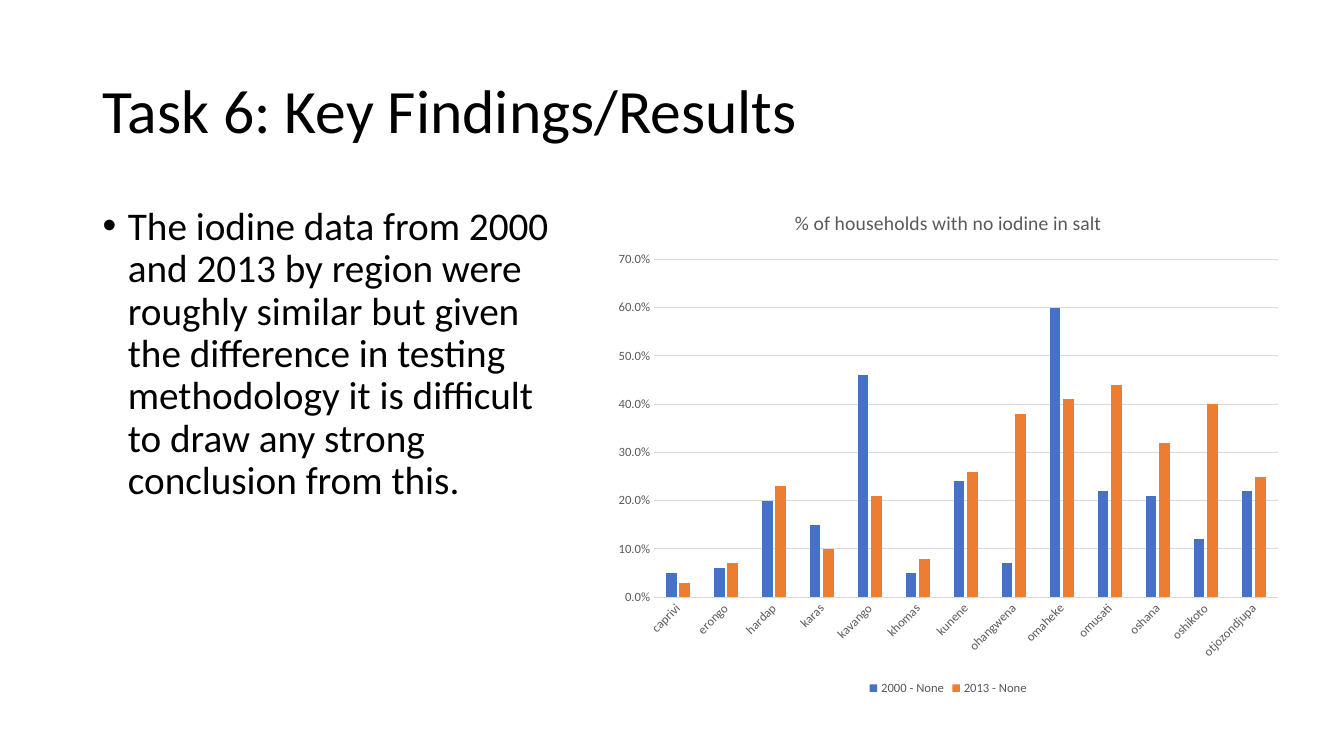
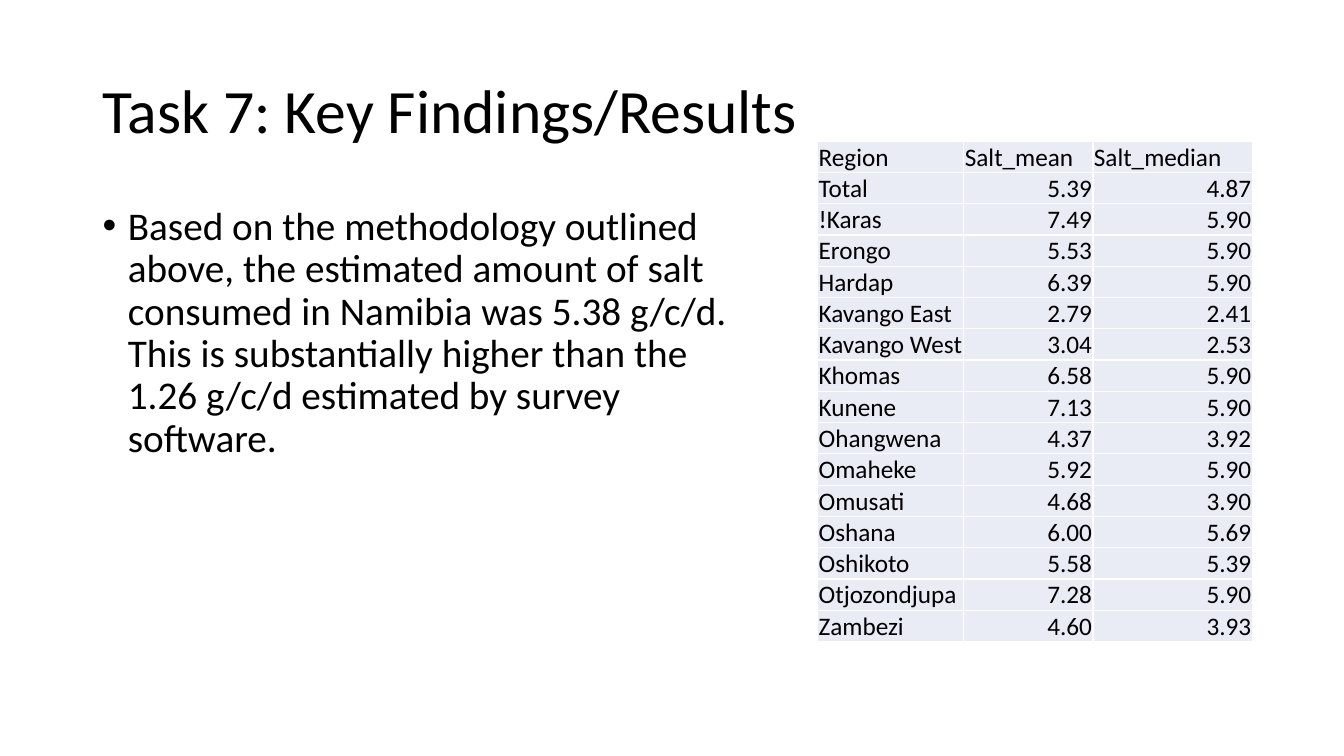
from dataclasses import dataclass

from lxml.etree import SubElement
from pptx import Presentation
from pptx.chart.data import CategoryChartData
from pptx.dml.color import RGBColor
from pptx.enum.chart import XL_CHART_TYPE as ChartType, XL_LEGEND_POSITION as LegendPosition, XL_TICK_MARK as TickMark
from pptx.enum.text import MSO_ANCHOR as Anchor, PP_ALIGN as Align
from pptx.oxml.ns import qn
from pptx.util import Inches, Pt


@dataclass(frozen=True)
class Theme:
    font: str = "Calibri"
    text: str = "000000"
    chart_text: str = "595959"
    grid: str = "D9D9D9"
    series: tuple = ("4472C4", "ED7D31")
    cell: str = "E9EBF5"
    cell_border: str = "FFFFFF"
    title_size: int = 44
    body_size: int = 28
    table_size: int = 18
    chart_title_size: int = 14
    chart_size: int = 9


THEME = Theme()

REGIONS = ("caprivi", "erongo", "hardap", "karas", "kavango", "khomas", "kunene",
           "ohangwena", "omaheke", "omusati", "oshana", "oshikoto", "otjozondjupa")
NO_IODINE = {
    "2000 - None": (0.05, 0.06, 0.2, 0.15, 0.46, 0.05, 0.24, 0.07, 0.6, 0.22, 0.21, 0.12, 0.22),
    "2013 - None": (0.03, 0.07, 0.23, 0.1, 0.21, 0.08, 0.26, 0.38, 0.41, 0.44, 0.32, 0.4, 0.25),
}
SALT_INTAKE = (
    ("Region", "Salt_mean", "Salt_median"),
    ("Total", "5.39", "4.87"),
    ("!Karas", "7.49", "5.90"),
    ("Erongo", "5.53", "5.90"),
    ("Hardap", "6.39", "5.90"),
    ("Kavango East", "2.79", "2.41"),
    ("Kavango West", "3.04", "2.53"),
    ("Khomas", "6.58", "5.90"),
    ("Kunene", "7.13", "5.90"),
    ("Ohangwena", "4.37", "3.92"),
    ("Omaheke", "5.92", "5.90"),
    ("Omusati", "4.68", "3.90"),
    ("Oshana", "6.00", "5.69"),
    ("Oshikoto", "5.58", "5.39"),
    ("Otjozondjupa", "7.28", "5.90"),
    ("Zambezi", "4.60", "3.93"),
)


def style_font(font, size, color):
    font.name = THEME.font
    font.size = Pt(size)
    font.bold = False
    font.color.rgb = RGBColor.from_string(color)


def add_text(slide, text, box, size, anchor=Anchor.TOP):
    shape = slide.shapes.add_textbox(*map(Inches, box))
    frame = shape.text_frame
    frame.word_wrap = True
    frame.vertical_anchor = anchor
    frame.text = text
    paragraph = frame.paragraphs[0]
    paragraph.line_spacing = 0.9
    style_font(paragraph.runs[0].font, size, THEME.text)
    return paragraph


def add_bullet(slide, text, width):
    paragraph = add_text(slide, text, (0.92, 2, width, 4.76), THEME.body_size)
    properties = paragraph._p.get_or_add_pPr()
    properties.set("marL", str(Inches(0.25)))
    properties.set("indent", str(Inches(-0.25)))
    SubElement(properties, qn("a:buFont"), typeface="Arial")
    SubElement(properties, qn("a:buChar"), char="•")


def add_findings_slide(presentation, task, finding, width):
    slide = presentation.slides.add_slide(presentation.slide_layouts[6])
    add_text(slide, f"Task {task}: Key Findings/Results", (0.92, 0.4, 11.5, 1.45),
             THEME.title_size, Anchor.MIDDLE)
    add_bullet(slide, finding, width)
    return slide


def style_axis(axis):
    axis.major_tick_mark = axis.minor_tick_mark = TickMark.NONE
    style_font(axis.tick_labels.font, THEME.chart_size, THEME.chart_text)


def style_line(line):
    line.color.rgb = RGBColor.from_string(THEME.grid)
    line.width = Pt(0.75)


def style_axes(chart):
    regions, shares = chart.category_axis, chart.value_axis
    style_axis(regions)
    style_line(regions.format.line)
    regions._element.find(qn("c:txPr")).find(qn("a:bodyPr")).set("rot", "-2700000")
    style_axis(shares)
    shares.format.line.fill.background()
    style_line(shares.major_gridlines.format.line)
    shares.minimum_scale, shares.maximum_scale, shares.major_unit = 0, 0.7, 0.1
    shares.tick_labels.number_format = "0.0%"
    shares.tick_labels.number_format_is_linked = False


def add_column_chart(slide, title, categories, series, box):
    data = CategoryChartData(number_format="0.0%")
    data.categories = categories
    for name, values in series.items():
        data.add_series(name, values)
    chart = slide.shapes.add_chart(ChartType.COLUMN_CLUSTERED, *map(Inches, box), data).chart
    style_font(chart.font, THEME.chart_size, THEME.chart_text)
    chart.has_title = True
    chart.chart_title.include_in_layout = False
    frame = chart.chart_title.text_frame
    frame.text = title
    style_font(frame.paragraphs[0].runs[0].font, THEME.chart_title_size, THEME.chart_text)
    chart.has_legend = True
    chart.legend.position = LegendPosition.BOTTOM
    chart.legend.include_in_layout = False
    style_font(chart.legend.font, THEME.chart_size, THEME.chart_text)
    style_axes(chart)
    plot = chart.plots[0]
    plot.vary_by_categories = False
    plot.gap_width, plot.overlap = 219, -27
    for columns, color in zip(plot.series, THEME.series):
        columns.invert_if_negative = False
        columns.format.fill.solid()
        columns.format.fill.fore_color.rgb = RGBColor.from_string(color)


def add_borders(cell):
    properties = cell._tc.get_or_add_tcPr()
    for side in ("lnL", "lnR", "lnT", "lnB"):
        line = SubElement(properties, qn(f"a:{side}"), w=str(Pt(1)))
        fill = SubElement(line, qn("a:solidFill"))
        SubElement(fill, qn("a:srgbClr"), val=THEME.cell_border)


def fill_cell(cell, text, align):
    cell.margin_left = cell.margin_right = cell.margin_top = Inches(0.01)
    cell.margin_bottom = 0
    cell.vertical_anchor = Anchor.BOTTOM
    add_borders(cell)
    cell.fill.solid()
    cell.fill.fore_color.rgb = RGBColor.from_string(THEME.cell)
    cell.text_frame.text = text
    paragraph = cell.text_frame.paragraphs[0]
    paragraph.alignment = align
    style_font(paragraph.runs[0].font, THEME.table_size, THEME.text)


def add_data_table(slide, rows, left, top, widths, row_height):
    table = slide.shapes.add_table(len(rows), len(widths), Inches(left), Inches(top),
                                   Inches(sum(widths)), Inches(row_height * len(rows))).table
    table.first_row = table.horz_banding = False
    for column, width in zip(table.columns, widths):
        column.width = Inches(width)
    for row_index, row in enumerate(rows):
        for column_index, text in enumerate(row):
            is_number = row_index > 0 and column_index > 0
            fill_cell(table.cell(row_index, column_index), text,
                      Align.RIGHT if is_number else Align.LEFT)


def main():
    presentation = Presentation()
    presentation.slide_width = Inches(13.33)
    presentation.slide_height = Inches(7.5)

    iodine = add_findings_slide(
        presentation, 6,
        "The iodine data from 2000 and 2013 by region were roughly similar but given the "
        "difference in testing methodology it is difficult to draw any strong conclusion "
        "from this.", 4.65)
    add_column_chart(iodine, "% of households with no iodine in salt", REGIONS, NO_IODINE,
                     (6, 1.89, 6.81, 5.05))

    salt = add_findings_slide(
        presentation, 7,
        "Based on the methodology outlined above, the estimated amount of salt consumed in "
        "Namibia was 5.38 g/c/d. This is substantially higher than the 1.26 g/c/d estimated "
        "by survey software.", 6.71)
    add_data_table(salt, SALT_INTAKE, 8.11, 1.4, (1.45, 1.28, 1.58), 0.31)

    presentation.save("out.pptx")


if __name__ == "__main__":
    main()
